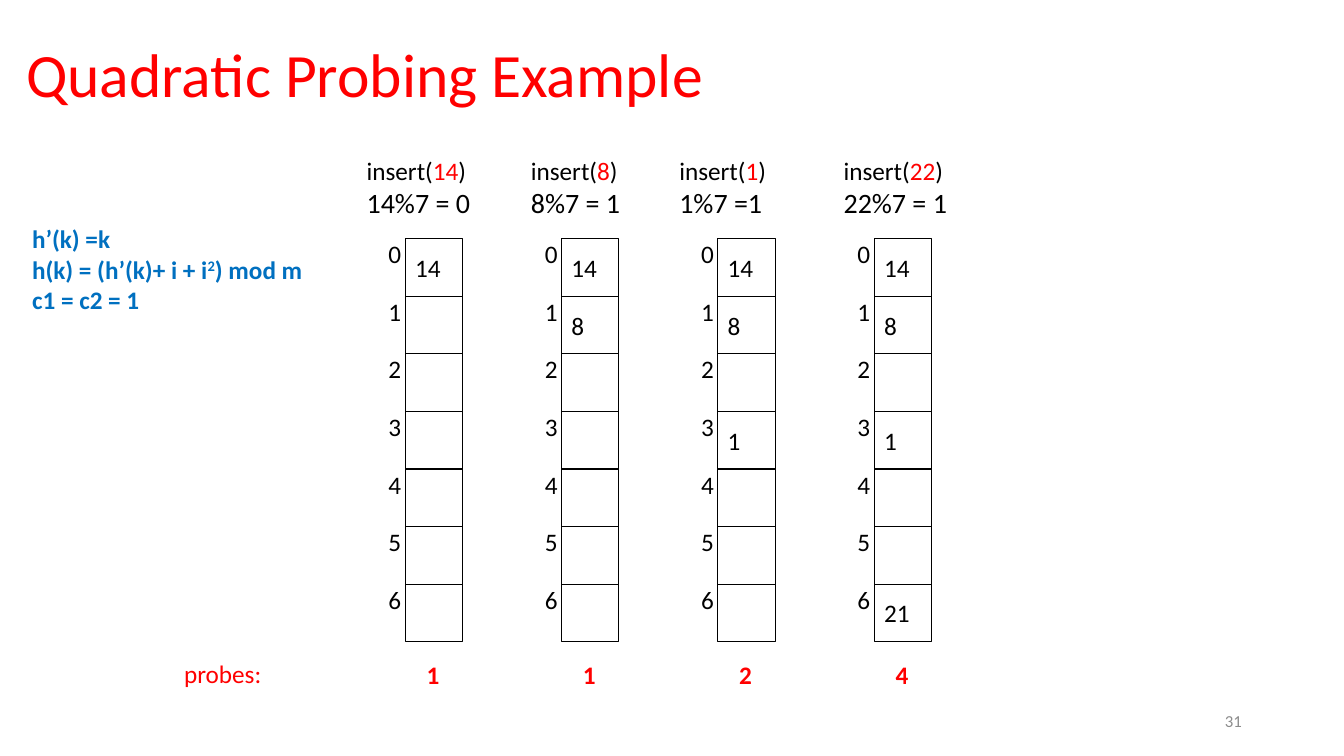
import pptx
import pptx.util
import pptx.dml.color
import pptx.enum.shapes
import pptx.enum.text

Cm, Pt = pptx.util.Cm, pptx.util.Pt
MIDDLE = pptx.enum.text.MSO_ANCHOR.MIDDLE
RIGHT = pptx.enum.text.PP_ALIGN.RIGHT
GROW = pptx.enum.text.MSO_AUTO_SIZE.SHAPE_TO_FIT_TEXT

COLORS = {"ink": "000000", "accent": "FF0000", "formula": "0070C0", "number": "8C8C8C"}
CELL = 1.45
SLOTS = 7
TABLE_PITCH = 3.94
TABLE_LEFT, TABLE_TOP = 10.21, 6.02

# key, second header line, header offset and width, filled slots, probe count
INSERTS = [
    ("14", "14%7 = 0", -1.22, 3.15, {0: "14"}, "1"),
    ("8", "8%7 = 1", -1.02, 2.77, {0: "14", 1: "8"}, "1"),
    ("1", "1%7 =1", -1.22, 2.72, {0: "14", 1: "8", 3: "1"}, "2"),
    ("22", "22%7 = 1", -1.02, 3.15, {0: "14", 1: "8", 3: "1", 6: "21"}, "4"),
]


def rgb(name):
    return pptx.dml.color.RGBColor.from_string(COLORS[name])


def write(tf, lines, frame=None, paragraph=None, **font):
    """Fill a text frame; each line is a list of (text, font changes) runs."""
    for name, value in {"word_wrap": False, **(frame or {})}.items():
        setattr(tf, name, value)
    for i, line in enumerate(lines):
        p = tf.paragraphs[0] if i == 0 else tf.add_paragraph()
        for name, value in (paragraph or {}).items():
            setattr(p, name, value)
        for text, changes in line:
            r = p.add_run()
            r.text = text
            style = {"name": "Calibri", "size": 18, "color": "ink", **font, **changes}
            r.font.color.rgb = rgb(style.pop("color"))
            style["size"] = Pt(style["size"])
            baseline = style.pop("baseline", None)
            if baseline:
                r._r.get_or_add_rPr().set("baseline", baseline)
            for name, value in style.items():
                setattr(r.font, name, value)


def add_text(s, box, lines, frame=None, paragraph=None, **font):
    tb = s.shapes.add_textbox(*map(Cm, box))
    write(tb.text_frame, lines, frame or {"auto_size": GROW}, paragraph, **font)


def add_cell(s, left, top, value):
    sp = s.shapes.add_shape(pptx.enum.shapes.MSO_SHAPE.RECTANGLE,
                            Cm(left), Cm(top), Cm(CELL), Cm(CELL))
    sp.shadow.inherit = False
    sp.fill.background()
    sp.line.color.rgb = rgb("ink")
    sp.line.width = Pt(0.75)
    if value:
        write(sp.text_frame, [[(value, {})]], {"vertical_anchor": MIDDLE},
              {"alignment": pptx.enum.text.PP_ALIGN.LEFT})


def add_hash_table(s, left, top, insert):
    """Draw one insertion step: header, numbered slots and probe count."""
    key, remainder, header_dx, header_width, slots, probes = insert
    add_text(s, (left + header_dx, top - 2.24, header_width, 1.88), [
        [("insert(", {}), (key, {"color": "accent"}), (")", {})],
        [(remainder, {"size": 20})],
    ])
    for i in range(SLOTS):
        y = top + i * CELL
        add_cell(s, left, y, slots.get(i))
        add_text(s, (left - 0.67, y - 0.13, 0.84, 1.02), [[(str(i), {})]])
    add_text(s, (left + 0.29, top + 10.46, 0.84, 1.02), [[(probes, {})]],
             color="accent", bold=True)


def add_title(s, box):
    add_text(s, box, [[("Quadratic Probing Example", {})]],
             {"vertical_anchor": MIDDLE, "word_wrap": True},
             {"line_spacing": 0.9}, size=44, color="accent")


def add_formulas(s, box):
    add_text(s, box, [
        [("h’(k) =k", {})],
        [("h(k) = (h’(k)+ i + i", {}), ("2", {"baseline": "30000"}), (") mod m", {})],
        [("c1 = c2 = 1", {})],
    ], {"auto_size": GROW, "word_wrap": True}, color="formula", bold=True)


def add_slide_number(s, box):
    add_text(s, box, [[("31", {})]], {"vertical_anchor": MIDDLE, "word_wrap": True},
             {"alignment": RIGHT}, size=12, color="number")


def main():
    prs = pptx.Presentation()
    prs.slide_width, prs.slide_height = Cm(33.87), Cm(19.05)
    s = prs.slides.add_slide(prs.slide_layouts[6])
    add_title(s, (0.41, 0.36, 21.59, 3.18))
    add_formulas(s, (0.56, 5.51, 7.42, 2.57))
    for i, insert in enumerate(INSERTS):
        add_hash_table(s, TABLE_LEFT + i * TABLE_PITCH, TABLE_TOP, insert)
    add_text(s, (4.39, 16.46, 2.49, 1.02), [[("probes:", {})]], color="accent")
    add_slide_number(s, (23.93, 17.65, 7.62, 1.02))
    prs.save("out.pptx")


if __name__ == "__main__":
    main()
